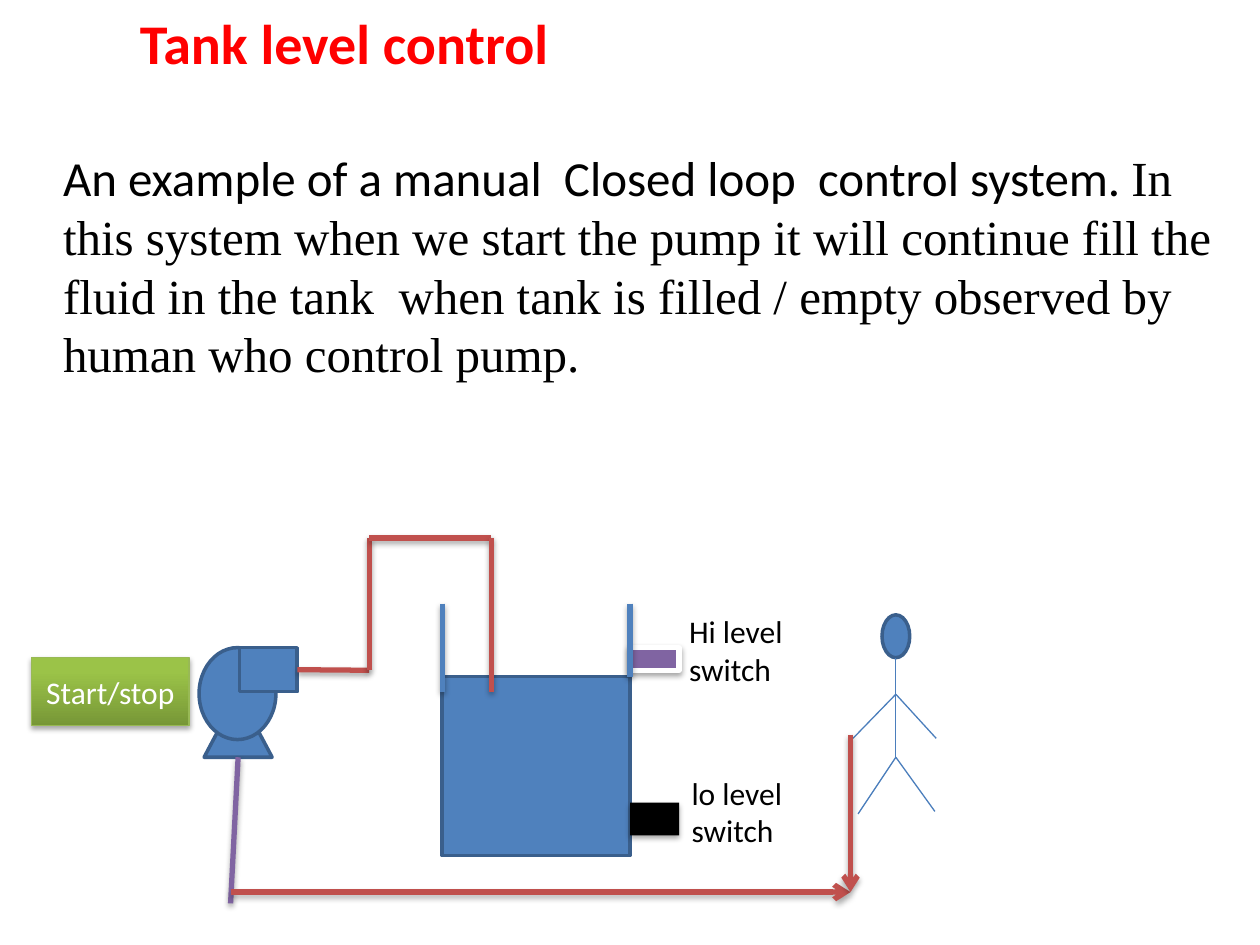
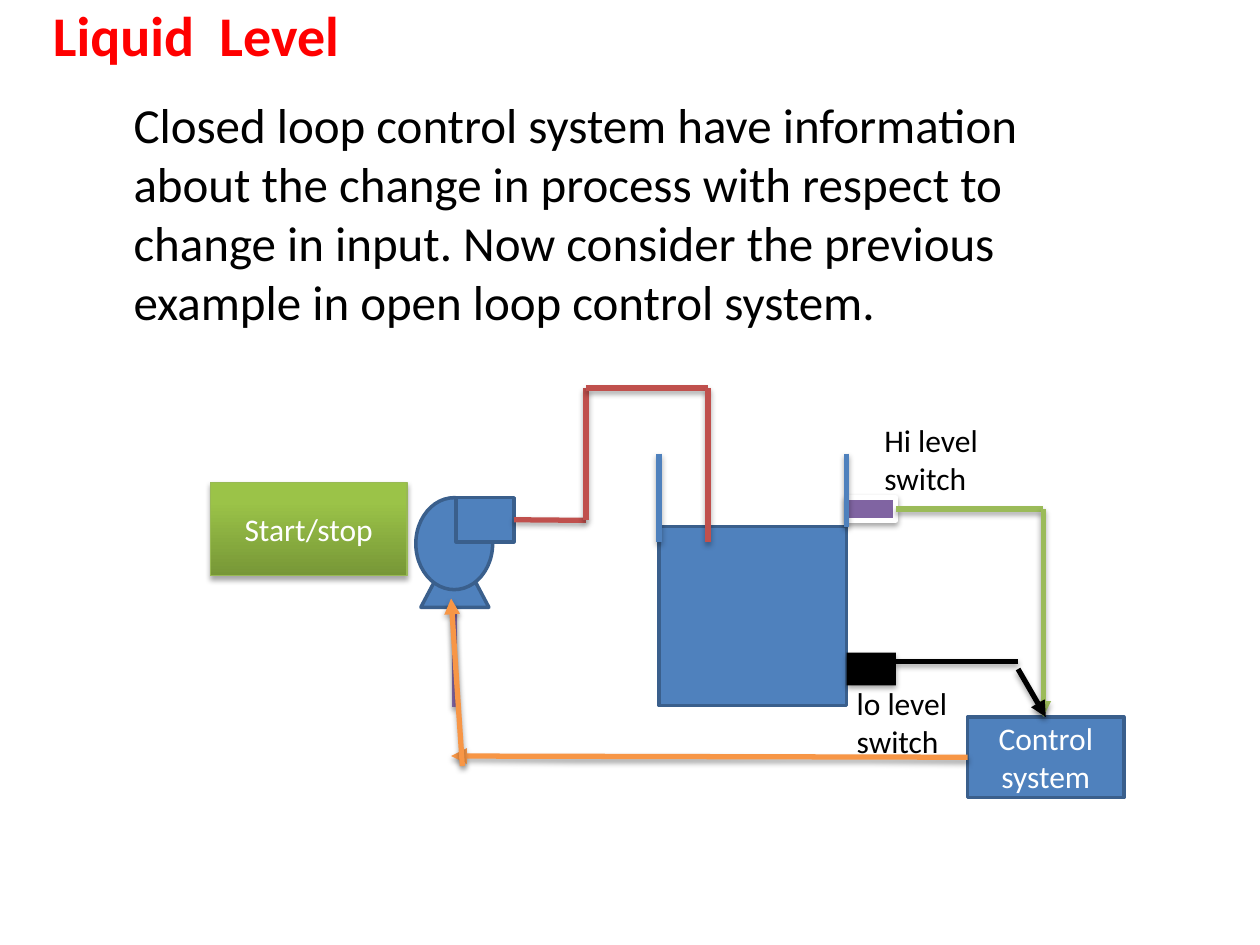
from itertools import pairwise

from lxml.etree import SubElement
from pptx import Presentation
from pptx.dml.color import RGBColor
from pptx.enum.shapes import MSO_CONNECTOR, MSO_SHAPE as Shape
from pptx.enum.text import MSO_ANCHOR as Anchor, MSO_AUTO_SIZE as AutoSize, PP_ALIGN as Align
from pptx.oxml.ns import qn
from pptx.util import Inches, Pt

BLUE, BLUE_EDGE, BLUE_THIN = "4F81BD", "3A5F8C", "4B7EBC"
RED, PURPLE, GREEN, ORANGE = "C0504D", "8064A2", "9BBB59", "F79646"
BLACK, WHITE, TITLE_RED = "000000", "FFFFFF", "FF0000"
FONT, SERIF = "Calibri", "Times New Roman"


def color(value):
    """Turn a hex string into a colour."""
    return RGBColor.from_string(value)


def set_effects(shape, shadow):
    """Give a shape a soft shadow below it, or none at all."""
    effects = SubElement(shape._element.spPr, qn("a:effectLst"))
    if shadow:
        outer = SubElement(effects, qn("a:outerShdw"), blurRad="40000", dist="23000",
                           dir="5400000", rotWithShape="0")
        black = SubElement(outer, qn("a:srgbClr"), val=BLACK)
        SubElement(black, qn("a:alpha"), val="35000")


def style_font(font, size, value, name=FONT, bold=False):
    """Set size, colour, face and weight of a font."""
    font.size, font.name, font.bold = Pt(size), name, bold
    font.color.rgb = color(value)


def add_block(shapes, kind, box, fill=BLUE, edge=BLUE_EDGE, weight=2, shadow=False):
    """Add a filled preset shape."""
    block = shapes.add_shape(kind, *map(Inches, box))
    block.fill.solid()
    block.fill.fore_color.rgb = color(fill)
    if edge:
        block.line.color.rgb = color(edge)
        block.line.width = Pt(weight)
    else:
        block.line.fill.background()
    set_effects(block, shadow)
    return block


def add_line(page, start, end, value, weight=3, arrow=None):
    """Add a straight line; thick ones cast a shadow."""
    line = page.shapes.add_connector(MSO_CONNECTOR.STRAIGHT, *map(Inches, (*start, *end)))
    line.line.color.rgb = color(value)
    line.line.width = Pt(weight)
    if arrow:
        SubElement(line.line._get_or_add_ln(), qn("a:tailEnd"), type=arrow)
    set_effects(line, weight > 1)
    return line


def add_caption(block, text):
    """Write white centred text in a shape."""
    frame = block.text_frame
    frame.word_wrap, frame.vertical_anchor = True, Anchor.MIDDLE
    para = frame.paragraphs[0]
    para.text, para.alignment = text, Align.CENTER
    style_font(para.font, 18, WHITE)


def add_label(page, left, top, text):
    """Add a label beside a level switch."""
    label = page.shapes.add_textbox(*map(Inches, (left, top, 1.21, 0.71)))
    frame = label.text_frame
    frame.word_wrap, frame.auto_size = True, AutoSize.SHAPE_TO_FIT_TEXT
    para = frame.paragraphs[0]
    para.text = text
    style_font(para.font, 18, BLACK)


def fill_placeholder(holder, box, parts, size, value, bold=False):
    """Move a placeholder and fill it with (text, font name) runs."""
    holder.left, holder.top, holder.width, holder.height = map(Inches, box)
    frame = holder.text_frame
    frame.margin_left = frame.margin_top = frame.margin_right = frame.margin_bottom = 0
    frame.word_wrap, frame.auto_size, frame.vertical_anchor = True, AutoSize.NONE, Anchor.TOP
    para = frame.paragraphs[0]
    para.alignment, para.space_before = Align.LEFT, Pt(0)
    properties = para._p.get_or_add_pPr()
    properties.set("marL", "0")
    properties.set("indent", "0")
    SubElement(properties, qn("a:buNone"))
    for text, name in parts:
        span = para.add_run()
        span.text = text
        style_font(span.font, size, value, name, bold)


def add_page(deck, title, title_box, parts, body_box):
    """Add a page with a red title and a paragraph of body text."""
    page = deck.slides.add_slide(deck.slide_layouts[1])
    fill_placeholder(page.shapes.title, title_box, [(title, FONT)], 32, TITLE_RED, True)
    fill_placeholder(page.placeholders[1], body_box, parts, 28, BLACK)
    return page


def draw_plant(page, left, top):
    """Draw pump, tank, pipe and level switches; return the high switch."""
    def at(x, y, *size):
        return (left + x, top + y, *size)

    add_block(page.shapes, Shape.RECTANGLE, at(1.93, 1.1, 1.49, 1.42))
    pump = page.shapes.add_group_shape().shapes
    add_block(pump, Shape.ISOSCELES_TRIANGLE, at(0.04, 1.23, 0.54, 0.51))
    add_block(pump, Shape.OVAL, at(0, 0.87, 0.61, 0.73))
    outlet = add_block(pump, Shape.RECTANGLE, at(0.32, 0.87, 0.46, 0.35))
    high = add_block(page.shapes, Shape.RECTANGLE, at(3.42, 0.87, 0.39, 0.18),
                     PURPLE, WHITE, 3, True)
    add_block(page.shapes, Shape.RECTANGLE, at(3.42, 2.1, 0.39, 0.26), BLACK, None, shadow=True)
    for x, bottom in ((3.42, 1.1), (1.93, 1.22)):
        add_line(page, at(x, 0.52), at(x, bottom), BLUE)
    route = [(0.78, 1.05), (1.35, 1.05), (1.35, 0), (2.32, 0), (2.32, 1.22)]
    pipes = [add_line(page, at(*start), at(*end), RED) for start, end in pairwise(route)]
    pipes[0].begin_connect(outlet, 3)
    return high


def draw_button(page, box):
    """Draw the green start/stop button."""
    button = add_block(page.shapes, Shape.RECTANGLE, box, GREEN, "98B955", 0.75, True)
    button.fill.gradient()
    button.fill.gradient_angle = 90
    for stop, value, position in zip(button.fill.gradient_stops, ("779737", "9BC348"), (0, 0.8)):
        stop.color.rgb, stop.position = color(value), position
    add_caption(button, "Start/stop")


def draw_operator(page, left, top):
    """Draw the stick figure who watches the tank."""
    add_block(page.shapes, Shape.OVAL, (left + 0.23, top, 0.22, 0.34))
    neck, shoulder, hip = (0.34, 0.34), (0.34, 0.63), (0.34, 1.13)
    limbs = [(neck, hip), (shoulder, (0, 0.98)), (shoulder, (0.66, 0.98)),
             (hip, (0.04, 1.58)), (hip, (0.65, 1.56))]
    for start, end in limbs:
        add_line(page, (left + start[0], top + start[1]), (left + end[0], top + end[1]),
                 BLUE_THIN, 0.75)


def build_manual_page(deck):
    """Build the page on control by a human."""
    parts = [
        ("An example of a manual  Closed loop  control system. ", FONT),
        ("In this system when we start the pump it will continue fill the fluid in the tank  "
         "when tank is filled / empty observed by human who control pump.", SERIF),
    ]
    page = add_page(deck, "Tank level control", (1.11, 0.07, 7.79, 0.56),
                    parts, (0.5, 1.17, 9.25, 2.17))
    draw_plant(page, 1.58, 4.27)
    add_label(page, 5.37, 4.81, "Hi level switch")
    add_label(page, 5.39, 6.09, "lo level switch")
    draw_button(page, (0.25, 5.22, 1.25, 0.54))
    draw_operator(page, 6.77, 4.88)
    add_line(page, (1.89, 6.01), (1.83, 7.17), PURPLE)
    for start in ((1.83, 7.08), (6.75, 5.83)):
        add_line(page, start, (6.75, 7.08), RED, arrow="arrow")


def build_automatic_page(deck):
    """Build the page on control by a control system."""
    text = ("Closed loop control system have information about the change in process with "
            "respect to change in input. Now consider the previous example in open loop "
            "control system.")
    page = add_page(deck, "Liquid  Level", (0.42, 0, 9, 0.61),
                    [(text, FONT)], (1.06, 0.75, 7.87, 2.36))
    high = draw_plant(page, 3.3, 3.08)
    draw_button(page, (1.67, 3.83, 1.56, 0.74))
    add_line(page, (3.61, 4.83), (3.61, 5.61), PURPLE)
    add_label(page, 6.7, 5.38, "lo level switch")
    add_label(page, 6.92, 3.29, "Hi level switch")
    control = add_block(page.shapes, Shape.RECTANGLE, (7.68, 5.69, 1.24, 0.64))
    add_caption(control, "Control system")
    add_line(page, (7.11, 4.05), (8.28, 4.04), GREEN).begin_connect(high, 3)
    add_line(page, (8.28, 4.04), (8.28, 5.69), GREEN, arrow="triangle")
    add_line(page, (7.11, 5.25), (8.08, 5.25), BLACK)
    add_line(page, (8.08, 5.31), (8.3, 5.69), BLACK, arrow="triangle").end_connect(control, 0)
    add_line(page, (7.68, 6.01), (3.58, 6), ORANGE, arrow="triangle").begin_connect(control, 1)
    add_line(page, (3.67, 6.08), (3.58, 4.75), ORANGE, arrow="triangle")


def main():
    """Build and save the deck."""
    deck = Presentation()
    deck.slide_width, deck.slide_height = Inches(10), Inches(7.5)
    build_manual_page(deck)
    build_automatic_page(deck)
    deck.save("out.pptx")


if __name__ == "__main__":
    main()
